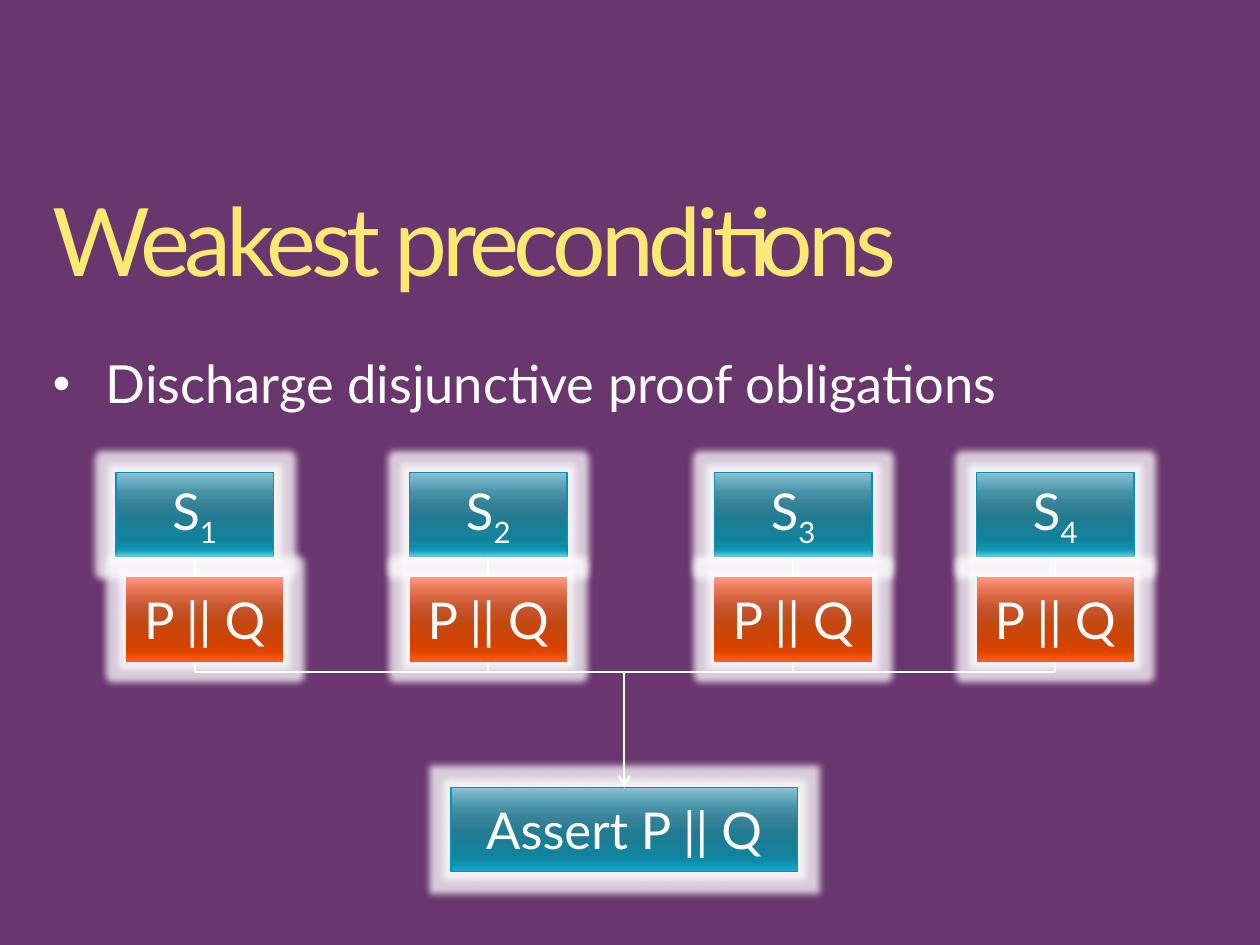
from pptx import Presentation
from pptx.dml.color import RGBColor
from pptx.enum.dml import MSO_FILL
from pptx.enum.shapes import MSO_CONNECTOR, MSO_SHAPE
from pptx.enum.text import MSO_ANCHOR, MSO_AUTO_SIZE, PP_ALIGN
from pptx.oxml.ns import qn
from pptx.util import Inches, Pt
from lxml.etree import SubElement

TITLE = "Weakest preconditions"
BULLET = "Discharge disjunctive proof obligations"
CONDITION = "P || Q"
BRANCHES = [("1", 0.92, 1), ("2", 3.25, 3.25), ("3", 5.67, 5.67), ("4", 7.75, 7.75)]

FONT = "Lato"
WHITE = RGBColor(0xFF, 0xFF, 0xFF)
PURPLE = RGBColor(0x6A, 0x36, 0x6E)
TEAL_LINE = RGBColor(0x00, 0x93, 0xB5)
SHADE_STOPS = (0, 25, 38, 55, 80, 88, 100)
TEAL = list(zip(SHADE_STOPS, map(RGBColor.from_string, (
    "88C1D5", "4490A4", "368196", "1F7C92", "13839D", "0D8EAC", "17ACCF"))))
ORANGE = list(zip(SHADE_STOPS, map(RGBColor.from_string, (
    "FF9782", "D6643E", "C5532C", "C44911", "D34200", "DE4500", "FF5C16"))))
GOLD = list(zip((28, 52, 68), map(RGBColor.from_string, ("FEF9DA", "FCE974", "F79A1D"))))

MARGIN, TEXT_WIDTH = 0.42, 9.16
BOX_WIDTH, BOX_HEIGHT = 1.25, 0.67
STATEMENT_TOP, CONDITION_TOP, ASSERT_TOP = 3.75, 4.58, 6.25
ASSERT_LEFT, ASSERT_WIDTH = 3.58, 2.75


def apply_gradient(fill, parent, stops):
    fill.gradient()
    fill.gradient_angle = 270
    stop_list = parent.find(qn("a:gradFill")).find(qn("a:gsLst"))
    for stop in list(stop_list):
        stop_list.remove(stop)
    for position, color in stops:
        stop = SubElement(stop_list, qn("a:gs"), pos=str(position * 1000))
        SubElement(stop, qn("a:srgbClr"), val=str(color))


def add_glow(shape):
    shape.shadow.inherit = False
    effects = shape.element.spPr.find(qn("a:effectLst"))
    glow = SubElement(effects, qn("a:glow"), rad=str(Pt(8)))
    color = SubElement(glow, qn("a:srgbClr"), val=str(WHITE))
    SubElement(color, qn("a:alpha"), val="75000")


def style_run(run, size):
    run.font.name = FONT
    run.font.size = Pt(size)
    run.font.color.rgb = WHITE


def add_box(slide, left, top, width, text, stops, line=None, subscript=None):
    shape = slide.shapes.add_shape(
        MSO_SHAPE.RECTANGLE, Inches(left), Inches(top), Inches(width), Inches(BOX_HEIGHT))
    apply_gradient(shape.fill, shape.element.spPr, stops)
    if line is None:
        shape.line.fill.background()
    else:
        shape.line.color.rgb = line
        shape.line.width = Pt(0.75)
    add_glow(shape)
    frame = shape.text_frame
    frame.text = text
    frame.vertical_anchor = MSO_ANCHOR.MIDDLE
    frame.margin_left = frame.margin_right = Inches(0.12)
    frame.margin_top = frame.margin_bottom = Inches(0.06)
    paragraph = frame.paragraphs[0]
    paragraph.alignment = PP_ALIGN.CENTER
    if subscript:
        run = paragraph.add_run()
        run.text = subscript
        run.font._element.set("baseline", "-25000")
    for run in paragraph.runs:
        style_run(run, 29)
    return shape


def add_elbow(slide, source, target):
    start_x, start_y = source.left + source.width // 2, source.top + source.height
    end_x, end_y = target.left + target.width // 2, target.top
    connector = slide.shapes.add_connector(MSO_CONNECTOR.ELBOW, start_x, start_y, end_x, end_y)
    connector.begin_connect(source, 2)
    connector.end_connect(target, 0)
    properties = connector.element.spPr
    transform = properties.find(qn("a:xfrm"))
    transform.attrib.clear()
    rightward = start_x < end_x
    transform.set("rot", str((270 if rightward else 90) * 60000))
    if rightward:
        transform.set("flipH", "1")
    drop, reach = end_y - start_y, abs(end_x - start_x)
    connector.left = (start_x + end_x - drop) // 2
    connector.top = (start_y + end_y - reach) // 2
    connector.width, connector.height = drop, reach
    connector.line.color.rgb = WHITE
    connector.line.width = Pt(1)
    SubElement(properties.find(qn("a:ln")), qn("a:tailEnd"), type="arrow")
    SubElement(properties, qn("a:effectLst"))


def fill_placeholder(placeholder, top, height, text, size):
    placeholder.left, placeholder.top = Inches(MARGIN), Inches(top)
    placeholder.width, placeholder.height = Inches(TEXT_WIDTH), Inches(height)
    frame = placeholder.text_frame
    frame.text = text
    frame.word_wrap = True
    frame.auto_size = MSO_AUTO_SIZE.SHAPE_TO_FIT_TEXT
    frame.vertical_anchor = MSO_ANCHOR.TOP
    frame.margin_left = frame.margin_right = frame.margin_top = frame.margin_bottom = 0
    paragraph = frame.paragraphs[0]
    paragraph.alignment = PP_ALIGN.LEFT
    paragraph.line_spacing = 0.9
    paragraph.space_before = Pt(0)
    style_run(paragraph.runs[0], size)
    return paragraph


def add_bullet(paragraph):
    properties = paragraph._p.get_or_add_pPr()
    properties.set("marL", str(Inches(MARGIN)))
    properties.set("indent", str(-Inches(MARGIN)))
    color = SubElement(properties, qn("a:buClr"))
    SubElement(color, qn("a:srgbClr"), val=str(WHITE))
    SubElement(properties, qn("a:buSzPct"), val="95000")
    SubElement(properties, qn("a:buFont"), typeface="Arial")
    SubElement(properties, qn("a:buChar"), char="•")


def main():
    presentation = Presentation()
    presentation.slide_width, presentation.slide_height = Inches(10), Inches(7.5)
    slide = presentation.slides.add_slide(presentation.slide_layouts[1])
    slide.background.fill.solid()
    slide.background.fill.fore_color.rgb = PURPLE

    title = fill_placeholder(slide.shapes.title, 1.55, 0.82, TITLE, 54)
    title_font = title.runs[0].font
    apply_gradient(title_font.fill, title_font._element, GOLD)
    title_font._element.set("spc", "-300")
    add_bullet(fill_placeholder(slide.placeholders[1], 2.84, 0.45, BULLET, 30))

    assertion = add_box(slide, ASSERT_LEFT, ASSERT_TOP, ASSERT_WIDTH,
                        f"Assert {CONDITION}", TEAL, TEAL_LINE)
    statements = [add_box(slide, left, STATEMENT_TOP, BOX_WIDTH, "S", TEAL, TEAL_LINE, number)
                  for number, left, _ in BRANCHES]
    for statement in statements:
        add_elbow(slide, statement, assertion)
    for _, _, left in BRANCHES:
        add_box(slide, left, CONDITION_TOP, BOX_WIDTH, CONDITION, ORANGE)

    presentation.save("out.pptx")


if __name__ == "__main__":
    main()
